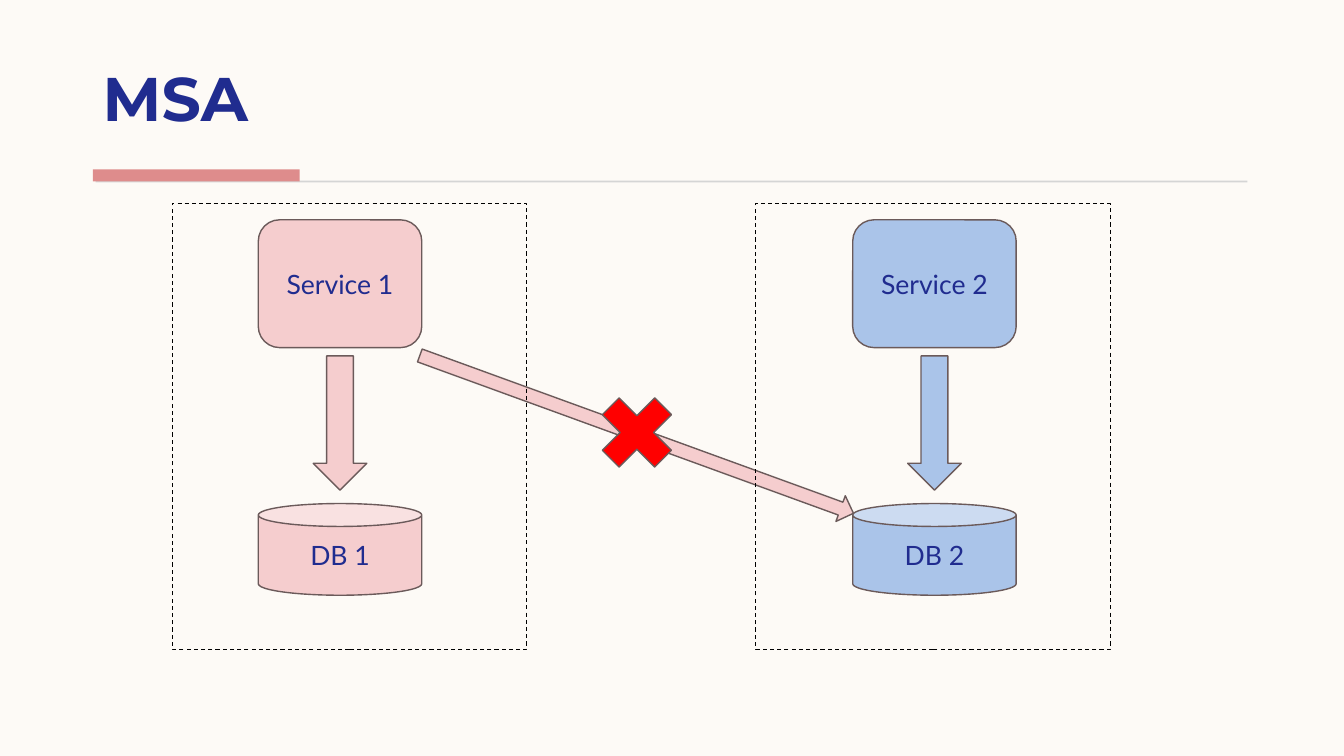
from dataclasses import dataclass

from pptx import Presentation
from pptx.dml.color import RGBColor
from pptx.enum.dml import MSO_LINE
from pptx.enum.shapes import MSO_SHAPE
from pptx.enum.text import MSO_ANCHOR, PP_ALIGN
from pptx.util import Cm, Pt


@dataclass(frozen=True)
class Theme:
    paper: str = "FDFAF6"
    navy: str = "202C8F"
    rose: str = "DE8C8C"
    pink: str = "F5CDCE"
    blue: str = "AAC4E9"
    red: str = "FF0000"
    rule: str = "D5D5D5"
    outline: str = "6B5A5A"
    black: str = "000000"
    title_font: str = "Montserrat"
    body_font: str = "Lato"
    title_size: int = 44
    label_size: int = 19


class Diagram:
    def __init__(self, slide, theme):
        self.slide = slide
        self.theme = theme
        slide.background.fill.solid()
        slide.background.fill.fore_color.rgb = RGBColor.from_string(theme.paper)

    def shape(self, kind, left, top, width, height, fill=None, line=None, weight=1):
        item = self.slide.shapes.add_shape(
            kind, Cm(left), Cm(top), Cm(width), Cm(height))
        item.shadow.inherit = False
        if fill:
            item.fill.solid()
            item.fill.fore_color.rgb = RGBColor.from_string(fill)
        else:
            item.fill.background()
        if line:
            item.line.color.rgb = RGBColor.from_string(line)
            item.line.width = Pt(weight)
        else:
            item.line.fill.background()
        return item

    def label(self, item, text, font, size, anchor, bold=False):
        frame = item.text_frame
        frame.word_wrap = True
        frame.vertical_anchor = anchor
        paragraph = frame.paragraphs[0]
        paragraph.text = text
        paragraph.font.name = font
        paragraph.font.size = Pt(size)
        paragraph.font.bold = bold
        paragraph.font.color.rgb = RGBColor.from_string(self.theme.navy)
        return paragraph

    def title(self, text, left, top, width, height):
        box = self.slide.shapes.add_textbox(
            Cm(left), Cm(top), Cm(width), Cm(height))
        heading = self.label(box, text, self.theme.title_font,
                             self.theme.title_size, MSO_ANCHOR.BOTTOM, True)
        heading.line_spacing = 0.9

    def bar(self, left, top, width, height, fill):
        self.shape(MSO_SHAPE.RECTANGLE, left, top, width, height, fill)

    def node(self, kind, text, left, top, width, height, fill):
        item = self.shape(kind, left, top, width, height, fill, self.theme.outline)
        caption = self.label(item, text, self.theme.body_font,
                             self.theme.label_size, MSO_ANCHOR.MIDDLE)
        caption.alignment = PP_ALIGN.CENTER
        caption.space_after = Pt(6)

    def sign(self, kind, left, top, width, height, fill, rotation=0):
        item = self.shape(kind, left, top, width, height, fill, self.theme.outline)
        item.rotation = rotation

    def boundary(self, left, top, width, height):
        item = self.shape(MSO_SHAPE.RECTANGLE, left, top, width, height,
                          line=self.theme.black, weight=0.75)
        item.line.dash_style = MSO_LINE.DASH


def main():
    presentation = Presentation()
    presentation.slide_width = Cm(33.87)
    presentation.slide_height = Cm(19.05)
    theme = Theme()
    diagram = Diagram(
        presentation.slides.add_slide(presentation.slide_layouts[6]), theme)

    # Heading with its rule and accent
    diagram.title("MSA", 2.34, 0.71, 29.18, 2.82)
    diagram.bar(2.41, 4.55, 29.03, 0.05, theme.rule)
    diagram.bar(2.34, 4.27, 5.21, 0.3, theme.rose)

    # Each service above its own database
    node_width, arrow_width = 4.12, 1.35
    for number, (left, colour) in enumerate(
            [(6.51, theme.pink), (21.49, theme.blue)], start=1):
        diagram.node(MSO_SHAPE.ROUNDED_RECTANGLE, f"Service {number}",
                     left, 5.54, node_width, 3.22, colour)
        diagram.node(MSO_SHAPE.CAN, f"DB {number}",
                     left, 12.69, node_width, 2.31, colour)
        diagram.sign(MSO_SHAPE.DOWN_ARROW, left + (node_width - arrow_width) / 2,
                     8.97, arrow_width, 3.38, colour)

    # Forbidden access from service 1 to database 2
    diagram.sign(MSO_SHAPE.DOWN_ARROW, 15.7, 5.13, 0.69, 11.63, theme.pink, 290)
    diagram.sign(MSO_SHAPE.MATH_PLUS, 14.78, 9.63, 2.54, 2.54, theme.red, 45)

    # Service boundaries
    for left in (4.34, 19.04):
        diagram.boundary(left, 5.13, 8.94, 11.23)

    presentation.save("out.pptx")


if __name__ == "__main__":
    main()
